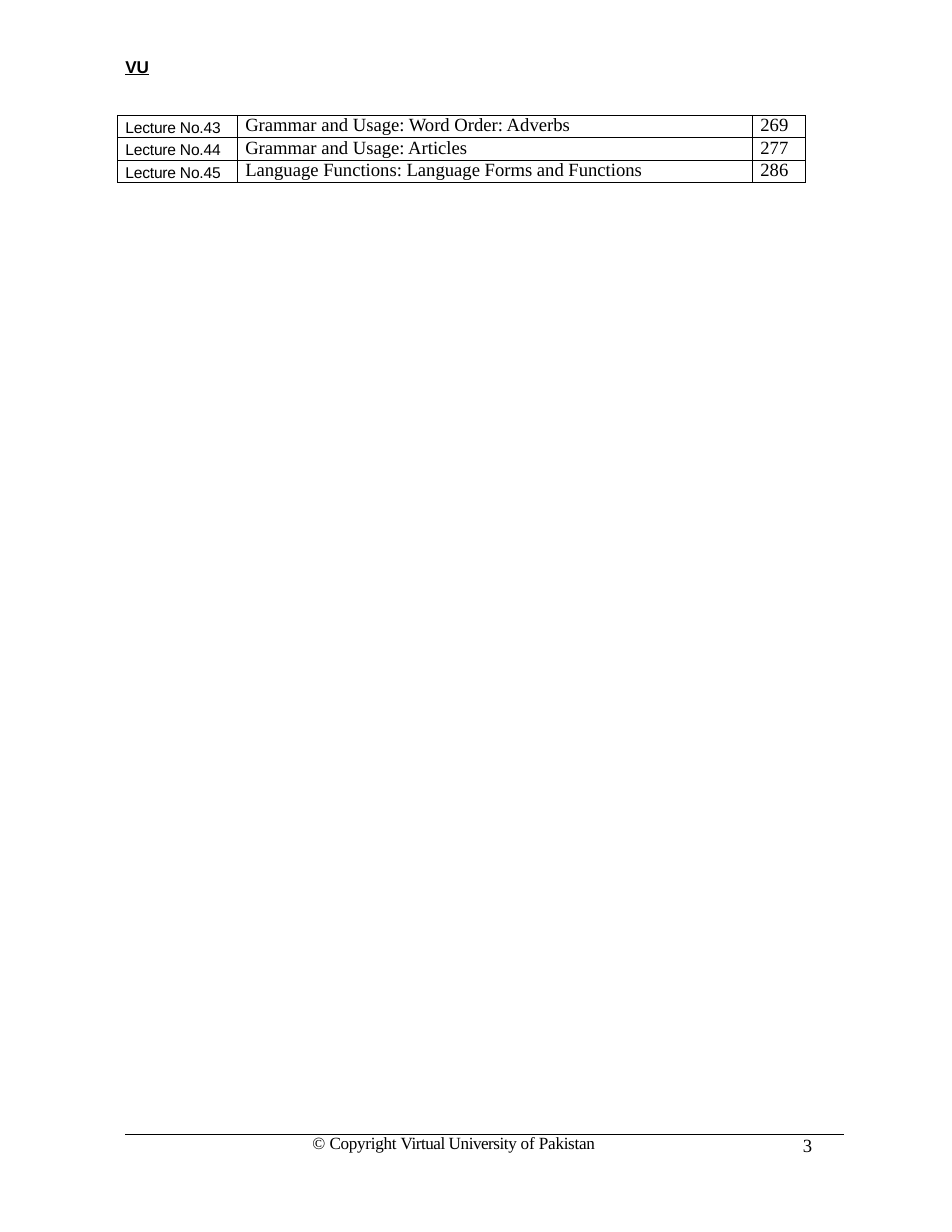
from pptx import Presentation
from pptx.dml.color import RGBColor as Rgb
from pptx.enum.shapes import MSO_CONNECTOR as Conn
from pptx.enum.text import MSO_AUTO_SIZE as Fit
from pptx.oxml.ns import qn
from pptx.util import Inches, Pt
from lxml.etree import SubElement as Sub

COLORS = {"ink": "000000"}
SANS, SERIF = "Arial", "Times New Roman"
ROWS = [
    ("Lecture No.43", "Grammar and Usage: Word Order: Adverbs", "269"),
    ("Lecture No.44", "Grammar and Usage: Articles", "277"),
    ("Lecture No.45", "Language Functions: Language Forms and Functions", "286"),
]


class Page:
    """Holds the style and the current slide."""

    def __init__(self, slide):
        self.slide = slide
        self.ink = Rgb.from_string(COLORS["ink"])

    def fill_para(self, para, runs, font, size, indent, lead=None, bold=False):
        """Add runs of (text, letter spacing in points) to a paragraph."""
        props = para._p.get_or_add_pPr()
        props.set("marL", str(Inches(indent)))
        props.set("indent", "0")
        if lead:
            para.line_spacing = Pt(lead)
        for text, gap in runs:
            run = para.add_run()
            run.text = text
            face = run.font
            face.name, face.size = font, Pt(size)
            face.bold = face.underline = bold
            face.color.rgb = self.ink
            face._element.set("spc", str(round(gap * 100)))

    def text(self, place, runs, font, size, indent=0.01, top=0, **style):
        box = self.slide.shapes.add_textbox(*map(Inches, place))
        frame = box.text_frame
        frame.word_wrap = True
        frame.auto_size = Fit.SHAPE_TO_FIT_TEXT
        frame.margin_left = frame.margin_right = frame.margin_bottom = 0
        frame.margin_top = Inches(top)
        self.fill_para(frame.paragraphs[0], runs, font, size, indent, **style)

    def rule(self, left, right, y):
        line = self.slide.shapes.add_connector(
            Conn.STRAIGHT, Inches(left), Inches(y), Inches(right), Inches(y))
        line.line.color.rgb = self.ink
        line.line.width = Pt(0.75)
        Sub(line._element.spPr, qn("a:effectLst"))

    def border(self, cell):
        props = cell._tc.get_or_add_tcPr()
        for side in ("lnL", "lnR", "lnT", "lnB"):
            edge = Sub(props, qn("a:" + side), w=str(Pt(0.5)))
            fill = Sub(edge, qn("a:solidFill"))
            Sub(fill, qn("a:srgbClr"), val=COLORS["ink"])

    def table(self, left, top, widths, height, rows):
        grid = self.slide.shapes.add_table(
            len(rows), len(widths), Inches(left), Inches(top),
            Inches(sum(widths)), Inches(height * len(rows))).table
        grid.first_row = grid.horz_banding = False
        for col, width in zip(grid.columns, widths):
            col.width = Inches(width)
        for r, row in enumerate(rows):
            grid.rows[r].height = Inches(height)
            for c, words in enumerate(row):
                cell = grid.cell(r, c)
                cell.margin_left = cell.margin_right = cell.margin_bottom = 0
                cell.margin_top = Inches(0 if c else 0.03)
                self.border(cell)
                cell.fill.background()
                style = (SERIF, 12, 0.07, 13.3) if c else (SANS, 10, 0.07, 11.5)
                para = cell.text_frame.paragraphs[0]
                self.fill_para(para, [(words, 0 if c else -0.1)], *style)


def main():
    deck = Presentation()
    deck.slide_width, deck.slide_height = Inches(8.5), Inches(11)
    page = Page(deck.slides.add_slide(deck.slide_layouts[6]))

    page.text((1.11, 0.48, 6.44, 0.21), [("VU", -0.1)], SANS, 11,
              top=0.02, bold=True)
    page.rule(1.12, 7.54, 10.13)
    page.table(1.05, 1.03, (1.07, 4.6, 0.47), 0.2, ROWS)
    credit = [("© ", -0.1), ("Copyright ", -0.2), ("Virtual University ", -0.3),
              ("of ", -0.1), ("Pakistan", -0.2)]
    page.text((2.78, 10.12, 2.56, 0.2), credit, SERIF, 11, lead=12.7)
    page.text((6.96, 10.13, 0.33, 0.21), [("3", 0)], SERIF, 12,
              indent=0.21, lead=14.1)
    deck.save("out.pptx")


if __name__ == "__main__":
    main()
